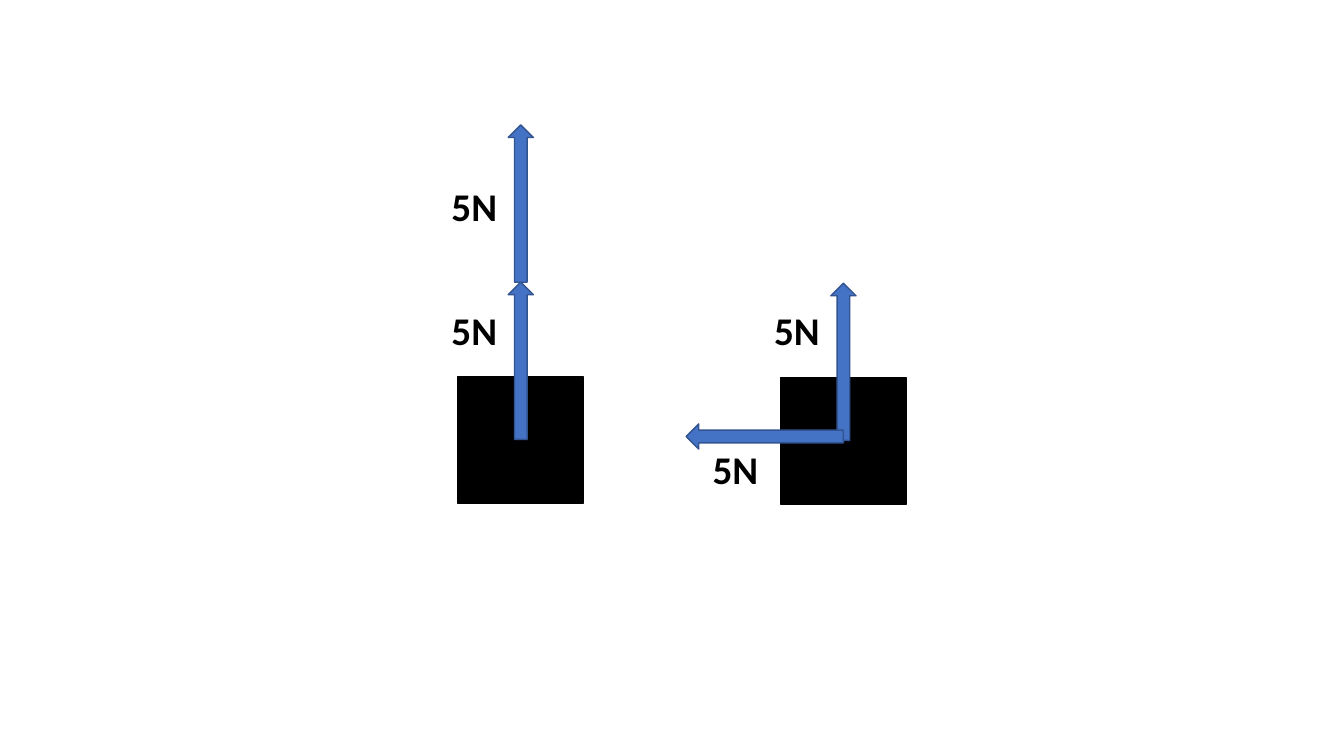
from pptx import Presentation
from pptx.dml.color import RGBColor
from pptx.enum.shapes import MSO_SHAPE as Shape
from pptx.enum.text import MSO_AUTO_SIZE as Fit
from pptx.util import Pt

PX = 9144  # 100 px to the inch
COLORS = {"block": "000000", "arrow": "4472C4", "edge": "325491", "text": "000000"}
SIDE = 125
WIDE, LONG = 25, 156


def color(name):
    return RGBColor.from_string(COLORS[name])


def box(*sizes):
    return [size * PX for size in sizes]


def add_shape(slide, kind, place, fill, line):
    shape = slide.shapes.add_shape(kind, *box(*place))
    shape.shadow.inherit = False
    shape.fill.solid()
    shape.fill.fore_color.rgb = color(fill)
    shape.line.color.rgb = color(line)
    shape.line.width = Pt(1)
    return shape


def add_block(slide, left, top):
    add_shape(slide, Shape.RECTANGLE, (left, top, SIDE, SIDE), "block", "block")


def add_force(slide, left, top, label, turn=0):
    arrow = add_shape(slide, Shape.UP_ARROW, (left, top, WIDE, LONG), "arrow", "edge")
    arrow.rotation = turn
    frame = slide.shapes.add_textbox(*box(*label, 66, 57)).text_frame
    frame.word_wrap = False
    frame.auto_size = Fit.SHAPE_TO_FIT_TEXT
    para = frame.paragraphs[0]
    para.text = "5N"
    font = para.font
    font.name, font.size, font.bold = "Calibri", Pt(28), True
    font.color.rgb = color("text")


def main():
    deck = Presentation()
    deck.slide_width, deck.slide_height = box(1333, 750)
    slide = deck.slides.add_slide(deck.slide_layouts[6])

    # Two forces in line
    add_block(slide, 454, 374)
    add_force(slide, 504, 280, (438, 299))
    add_force(slide, 504, 280 - LONG, (438, 176))

    # Two forces at a right angle
    add_block(slide, 774, 375)
    add_force(slide, 824, 281, (758, 299))
    add_force(slide, 746, 355, (697, 437), turn=270)

    deck.save("out.pptx")


if __name__ == "__main__":
    main()
